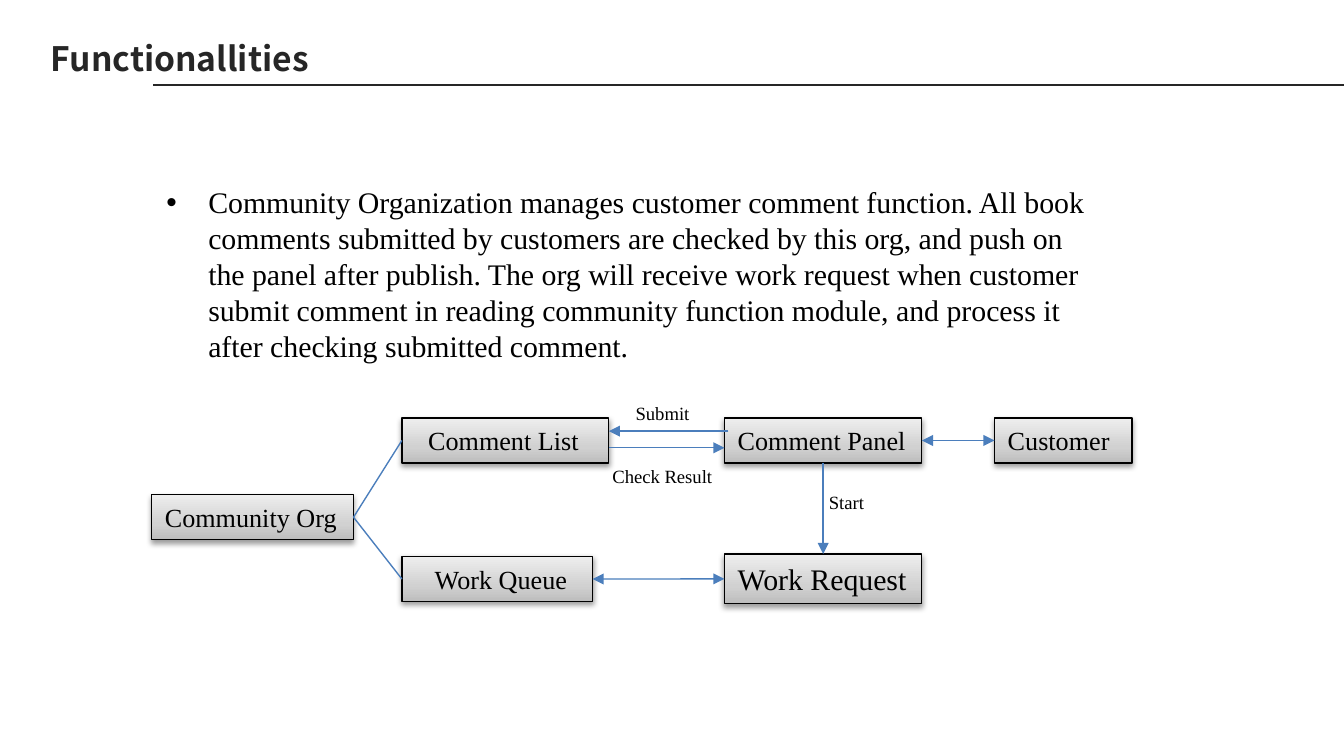
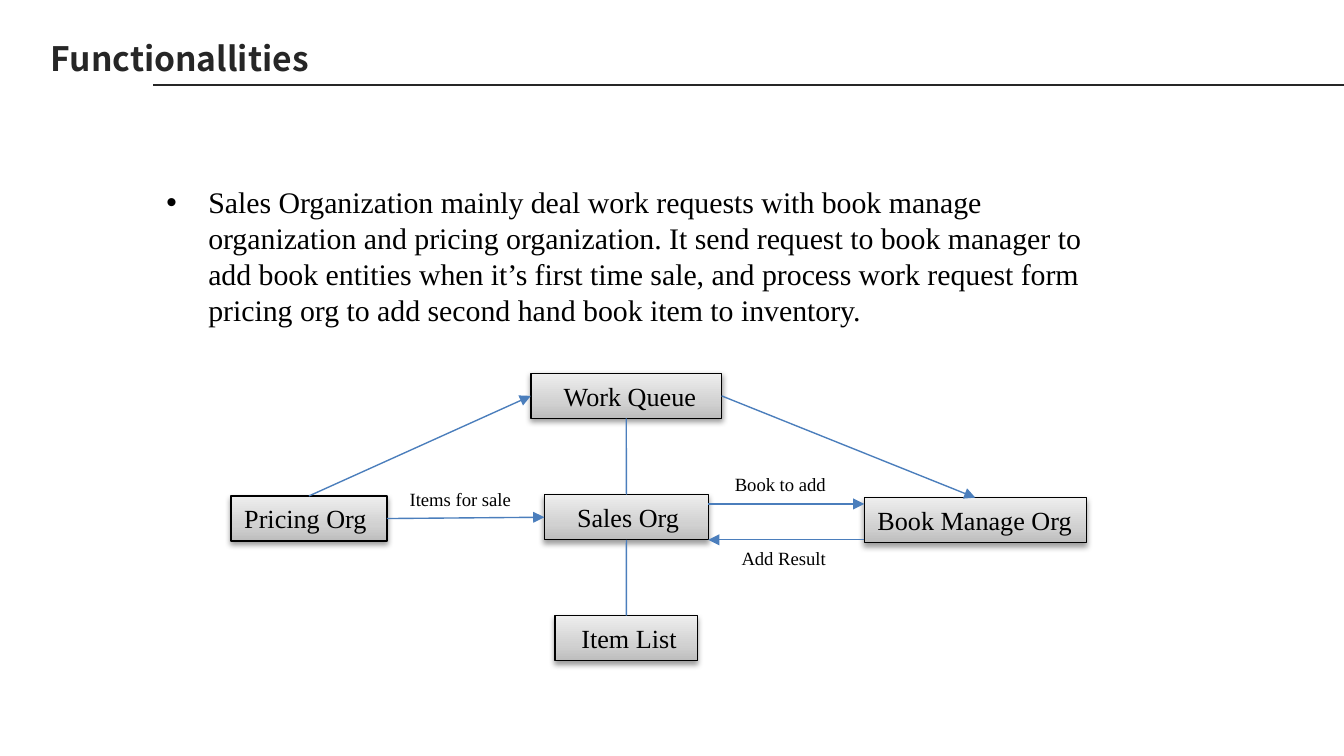
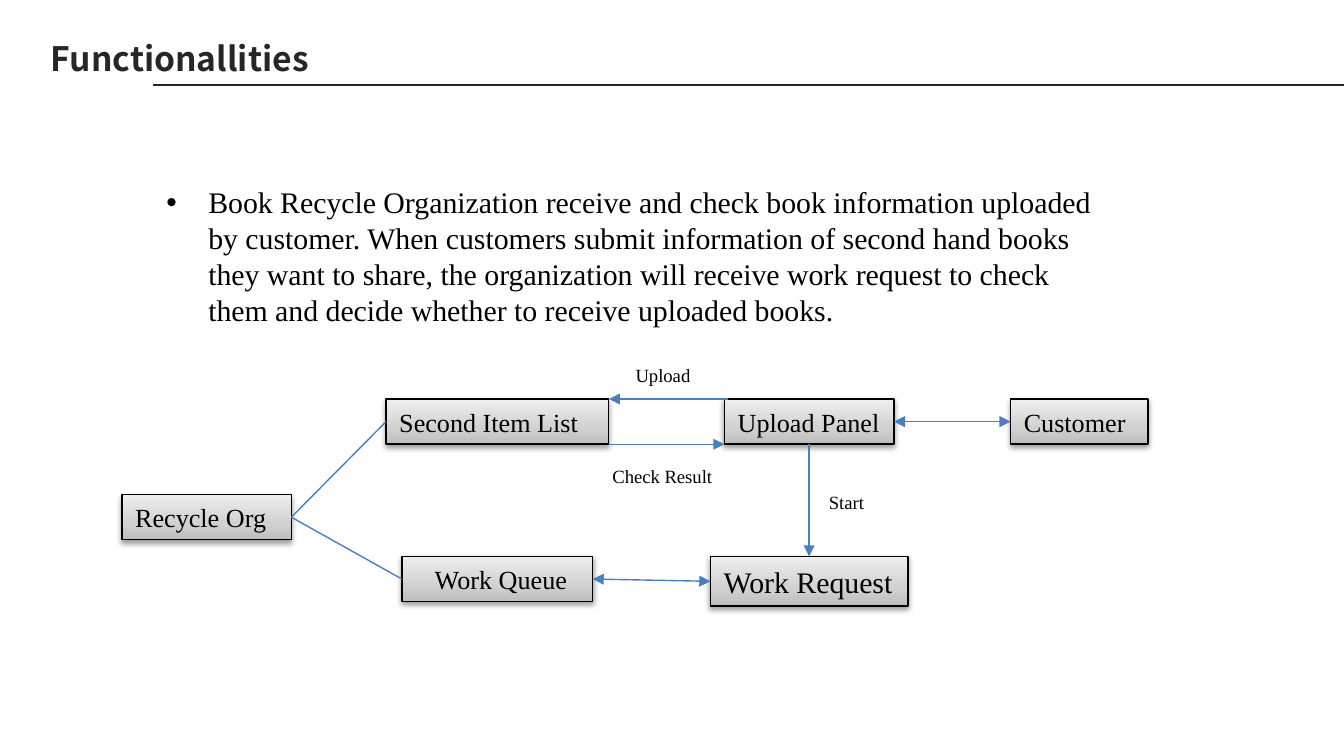
from copy import deepcopy

from lxml import etree
from pptx import Presentation
from pptx.dml.color import RGBColor
from pptx.enum import shapes, text
from pptx.oxml.ns import qn
from pptx.util import Pt

COLORS = {
    "title": "262626",
    "text": "000000",
    "border": "000000",
    "link": "4B7EBC",
}
BOX_GRADIENT = [(0, "BDBDBD"), (0.35, "D1D1D1"), (1, "EEEEEE")]
TITLE_FONT = "Noto Sans CJK SC"
BODY_FONT = "Times New Roman"
BOX_HEIGHT = 24.2
LABEL_HEIGHT = 19.4
TOP, LEFT, BOTTOM, RIGHT = range(4)


def write(shape, content, size=14, font=BODY_FONT, color="text", bold=False,
          wrap=True, indent=0, bullet=None):
    """Fill a shape with one paragraph; with a bullet, the indent hangs."""
    frame = shape.text_frame
    frame.word_wrap = wrap
    frame.auto_size = text.MSO_AUTO_SIZE.SHAPE_TO_FIT_TEXT
    para = frame.paragraphs[0]
    para.alignment = text.PP_ALIGN.LEFT
    span = para.add_run()
    span.text = content
    span.font.size = Pt(size)
    span.font.name = font
    span.font.bold = bold
    span.font.color.rgb = RGBColor.from_string(COLORS[color])
    if indent:
        properties = para._p.get_or_add_pPr()
        properties.set("marL", str(Pt(indent)))
        if bullet:
            properties.set("indent", str(-Pt(indent)))
            etree.SubElement(properties, qn("a:buFont")).set("typeface", "Arial")
            etree.SubElement(properties, qn("a:buChar")).set("char", bullet)


def add_text(page, left, top, width, height, content, **style):
    box = page.shapes.add_textbox(Pt(left), Pt(top), Pt(width), Pt(height))
    write(box, content, **style)


def add_line(page, start, end, color="link", width=0.75, arrows=""):
    """Draw a line; arrows names its ends: '', 'tail' or 'head tail'."""
    line = page.shapes.add_connector(
        shapes.MSO_CONNECTOR.STRAIGHT, *map(Pt, (*start, *end)))
    line.line.color.rgb = RGBColor.from_string(COLORS[color])
    line.line.width = Pt(width)
    properties = line.element.spPr
    for end_name in arrows.split():
        arrow = etree.SubElement(properties.find(qn("a:ln")), qn(f"a:{end_name}End"))
        arrow.set("type", "triangle")
    etree.SubElement(properties, qn("a:effectLst"))
    return line


def add_link(page, source, source_side, target, target_side, arrows=""):
    link = add_line(page, (0, 0), (0, 0), arrows=arrows)
    link.begin_connect(source, source_side)
    link.end_connect(target, target_side)


def add_box_shadow(box):
    box.shadow.inherit = False
    effects = box.element.spPr.find(qn("a:effectLst"))
    shadow = etree.SubElement(effects, qn("a:outerShdw"))
    for name, value in {"blurRad": Pt(3.1), "dist": Pt(1.6), "dir": 90 * 60000,
                        "rotWithShape": 0}.items():
        shadow.set(name, str(int(value)))
    color = etree.SubElement(shadow, qn("a:srgbClr"))
    color.set("val", COLORS["border"])
    etree.SubElement(color, qn("a:alpha")).set("val", "38000")


def add_box(page, left, top, width, content, height=BOX_HEIGHT, **style):
    box = page.shapes.add_shape(
        shapes.MSO_SHAPE.RECTANGLE, Pt(left), Pt(top), Pt(width), Pt(height))
    box.fill.gradient()
    stops = box.element.spPr.find(qn("a:gradFill")).find(qn("a:gsLst"))
    stops.append(deepcopy(stops[0]))
    for stop, (position, color) in zip(box.fill.gradient_stops, BOX_GRADIENT):
        stop.position = position
        stop.color.rgb = RGBColor.from_string(color)
    box.fill.gradient_angle = 90
    box.line.color.rgb = RGBColor.from_string(COLORS["border"])
    box.line.width = Pt(0.75)
    add_box_shadow(box)
    write(box, content, **style)
    return box


def add_label(page, left, top, width, content):
    add_text(page, left, top, width, LABEL_HEIGHT, content, size=10, wrap=False)


def add_page(deck, summary, summary_height):
    page = deck.slides.add_slide(deck.slide_layouts[6])
    add_text(page, 20.2, 16.6, 153.4, 28.8, "Functionallities",
             size=18, font=TITLE_FONT, color="title", bold=True, wrap=False)
    add_line(page, (82, 45.4), (720, 45.4), color="title", width=1)
    add_text(page, 82, 95, 516.2, summary_height, summary,
             size=16, indent=22.5, bullet="•")
    return page


def add_review_flow(page, org, items, queue, panel, customer, request,
                    lanes, submit_label):
    """Link an organization to its list and queue, and these to the customer."""
    submit_y, result_y = lanes
    add_line(page, (326.2, result_y), (388.1, result_y), arrows="tail")
    add_label(page, 321, 245.5, 68.4, "Check Result")
    add_line(page, (390.2, submit_y), (326.2, submit_y), arrows="tail")
    add_label(page, *submit_label)
    add_link(page, panel, RIGHT, customer, LEFT, "head tail")
    add_link(page, panel, BOTTOM, request, TOP, "tail")
    add_link(page, queue, RIGHT, request, LEFT, "head tail")
    add_link(page, org, RIGHT, items, LEFT)
    add_link(page, org, RIGHT, queue, LEFT)
    add_label(page, 437, 259.2, 33.8, "Start")


def add_community_page(deck):
    page = add_page(
        deck,
        "Community Organization manages customer comment function. All book "
        "comments submitted by customers are checked by this org, and push on "
        "the panel after publish. The org will receive work request when "
        "customer submit comment in reading community function module, and "
        "process it after checking submitted comment.", 104.4)
    add_review_flow(
        page,
        org=add_box(page, 81.2, 265, 108.2, "Community Org"),
        items=add_box(page, 215.3, 223.9, 110.9, "Comment List", indent=7),
        queue=add_box(page, 215.3, 298.1, 102.2, "Work Queue", indent=10.5),
        panel=add_box(page, 388.1, 223.9, 105.8, "Comment Panel"),
        customer=add_box(page, 532.8, 223.9, 73.6, "Customer"),
        request=add_box(page, 388.1, 296.8, 105.8, "Work Request",
                        height=26.7, size=16),
        lanes=(231, 239.9),
        submit_label=(333.4, 211.5, 43.9, "Submit"))


def add_sales_page(deck):
    page = add_page(
        deck,
        "Sales Organization mainly deal work requests with book manage "
        "organization and pricing organization. It send request to book "
        "manager to add book entities when it’s first time sale, and process "
        "work request form pricing org to add second hand book item to "
        "inventory.", 85)
    sales = add_box(page, 291.6, 265, 88, "Sales Org", indent=10.5)
    pricing = add_box(page, 123.8, 265.7, 83.5, "Pricing Org")
    queue = add_box(page, 284.4, 200, 102.2, "Work Queue", indent=10.5)
    manager = add_box(page, 463, 266.6, 119, "Book Manage Org")
    items = add_box(page, 297.4, 329.8, 76.3, "Item List", indent=7)
    add_label(page, 212.4, 257.8, 69.8, "Items for sale")
    add_link(page, queue, BOTTOM, sales, TOP)
    add_link(page, pricing, RIGHT, sales, LEFT, "tail")
    add_link(page, pricing, TOP, queue, LEFT, "tail")
    add_link(page, sales, BOTTOM, items, TOP)
    add_line(page, (379.5, 270), (463, 270), arrows="tail")
    add_label(page, 386.6, 249.8, 64, "Book to add")
    add_line(page, (463, 289.2), (379.5, 289.2), arrows="tail")
    add_label(page, 390.2, 289.4, 60.5, "Add Result")
    add_link(page, queue, RIGHT, manager, TOP, "tail")


def add_recycle_page(deck):
    page = add_page(
        deck,
        "Book Recycle Organization receive and check book information uploaded "
        "by customer. When customers submit information of second hand books "
        "they want to share, the organization will receive work request to "
        "check them and decide whether to receive uploaded books.", 85)
    add_review_flow(
        page,
        org=add_box(page, 65.3, 265, 90.8, "Recycle Org"),
        items=add_box(page, 206.8, 213.8, 119.2, "Second Item List"),
        queue=add_box(page, 215.3, 298.1, 102.2, "Work Queue", indent=10.5),
        panel=add_box(page, 388.1, 213.8, 90.8, "Upload Panel"),
        customer=add_box(page, 541.4, 213.8, 73.6, "Customer"),
        request=add_box(page, 380.6, 298.1, 105.8, "Work Request",
                        height=26.7, size=16),
        lanes=(213.8, 238),
        submit_label=(333.4, 191.5, 44.6, "Upload"))


def main():
    deck = Presentation()
    deck.slide_width, deck.slide_height = Pt(720), Pt(405)
    add_community_page(deck)
    add_sales_page(deck)
    add_recycle_page(deck)
    deck.save("out.pptx")


if __name__ == "__main__":
    main()
